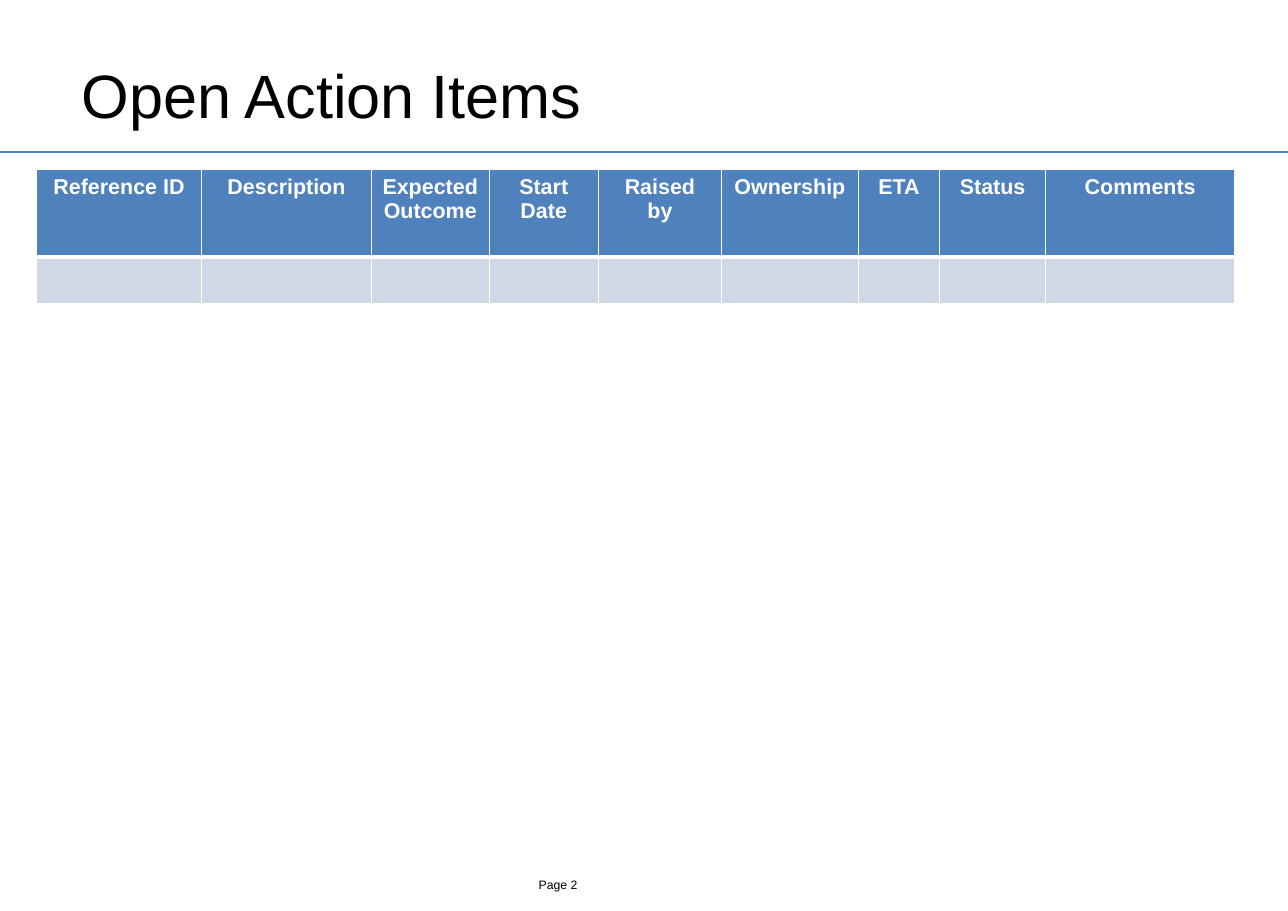
from dataclasses import dataclass

from lxml import etree
from pptx import Presentation
from pptx.dml.color import RGBColor
from pptx.enum.shapes import MSO_CONNECTOR
from pptx.enum.text import MSO_ANCHOR, PP_ALIGN
from pptx.oxml.ns import qn
from pptx.util import Pt

STRAIGHT = MSO_CONNECTOR.STRAIGHT
TOP, MIDDLE, BOTTOM = MSO_ANCHOR.TOP, MSO_ANCHOR.MIDDLE, MSO_ANCHOR.BOTTOM
LEFT, CENTER = PP_ALIGN.LEFT, PP_ALIGN.CENTER


@dataclass(frozen=True)
class Theme:
    font: str = "Arial"
    text: str = "000000"
    accent: str = "4F81BD"
    band: str = "D0D8E7"
    white: str = "FFFFFF"
    title_size: int = 40
    header_size: int = 14
    footer_size: int = 8
    rule_width: float = 0.75
    thin_border: float = 0.96
    thick_border: float = 3


THEME = Theme()
SLIDE_WIDTH, SLIDE_HEIGHT = 841.68, 595.44

# Heading and width of each table column
COLUMNS = [
    ("Reference ID", 108),
    ("Description", 110.9),
    ("Expected Outcome", 77),
    ("Start Date", 71.3),
    ("Raised by", 80.6),
    ("Ownership", 89.3),
    ("ETA", 53.3),
    ("Status", 69.1),
    ("Comments", 123.8),
]
ROW_HEIGHTS = [56.9, 31.7]


def write_text(text_frame, text, size, color, bold=False, alignment=LEFT):
    paragraph = text_frame.paragraphs[0]
    paragraph.text = text
    paragraph.alignment = alignment
    font_format = {"name": THEME.font, "size": Pt(size), "bold": bold}
    for name, value in font_format.items():
        setattr(paragraph.font, name, value)
    paragraph.font.color.rgb = RGBColor.from_string(color)
    return paragraph


def add_text(slide, text, left, top, width, height, size, anchor):
    box = slide.shapes.add_textbox(Pt(left), Pt(top), Pt(width), Pt(height))
    frame_format = {
        "word_wrap": True,
        "vertical_anchor": anchor,
        "margin_left": 0,
        "margin_top": 0,
        "margin_right": 0,
        "margin_bottom": 0,
    }
    for name, value in frame_format.items():
        setattr(box.text_frame, name, value)
    return write_text(box.text_frame, text, size, THEME.text)


def add_rule(slide, top):
    rule = slide.shapes.add_connector(STRAIGHT, 0, Pt(top), Pt(SLIDE_WIDTH), Pt(top))
    rule.line.color.rgb = RGBColor.from_string(THEME.accent)
    rule.line.width = Pt(THEME.rule_width)
    etree.SubElement(rule._element.spPr, qn("a:effectLst"))


def set_borders(cell, widths):
    properties = cell._tc.get_or_add_tcPr()
    for index, (side, width) in enumerate(widths.items()):
        border = etree.Element(qn(f"a:ln{side}"), w=str(Pt(width)))
        fill = etree.SubElement(border, qn("a:solidFill"))
        etree.SubElement(fill, qn("a:srgbClr"), val=THEME.white)
        properties.insert(index, border)


def style_cell(cell, fill, top_border):
    cell.fill.solid()
    cell.fill.fore_color.rgb = RGBColor.from_string(fill)
    cell.vertical_anchor = TOP
    thin, thick = THEME.thin_border, THEME.thick_border
    set_borders(cell, {"L": thin, "R": thin, "T": top_border, "B": thick})


def add_action_table(slide, left, top):
    width = sum(column_width for _, column_width in COLUMNS)
    table = slide.shapes.add_table(
        len(ROW_HEIGHTS), len(COLUMNS),
        Pt(left), Pt(top), Pt(width), Pt(sum(ROW_HEIGHTS)),
    ).table
    for row, height in zip(table.rows, ROW_HEIGHTS):
        row.height = Pt(height)
    for index, (heading, column_width) in enumerate(COLUMNS):
        table.columns[index].width = Pt(column_width)
        header, entry = table.cell(0, index), table.cell(1, index)
        style_cell(header, THEME.accent, THEME.thin_border)
        style_cell(entry, THEME.band, THEME.thick_border)
        write_text(header.text_frame, heading, THEME.header_size,
                   THEME.white, bold=True, alignment=CENTER)


def main():
    presentation = Presentation()
    presentation.slide_width = Pt(SLIDE_WIDTH)
    presentation.slide_height = Pt(SLIDE_HEIGHT)
    slide = presentation.slides.add_slide(presentation.slide_layouts[6])

    # Title and rule below it
    add_rule(slide, 99.4)
    title = add_text(slide, "Open Action Items", 53.3, 39.6, 758.2, 49.7,
                     THEME.title_size, MIDDLE)
    title.line_spacing = 0.9

    # Action items
    add_action_table(slide, 23.8, 110.9)

    # Page number
    add_text(slide, "Page 2", 352, 568, 66.3, 15.3, THEME.footer_size, BOTTOM)

    presentation.save("out.pptx")


if __name__ == "__main__":
    main()
